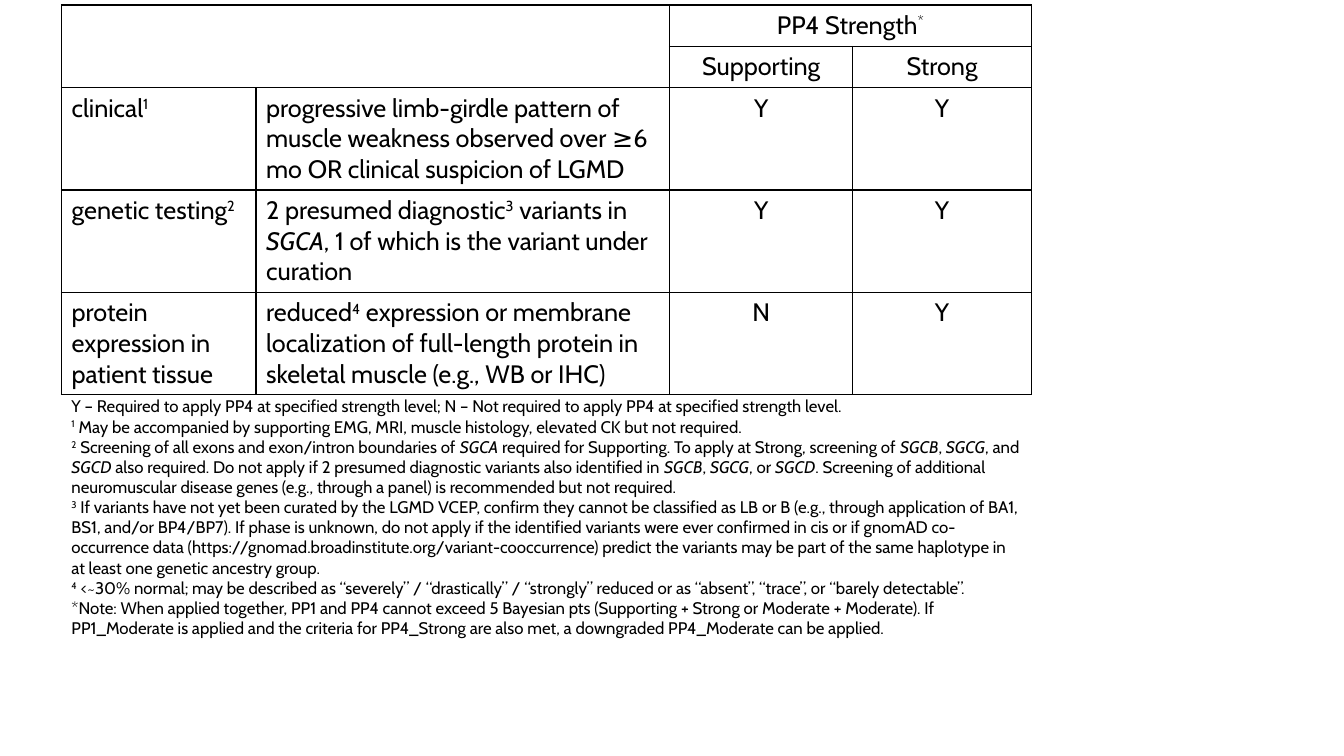
from pptx import Presentation
from pptx.dml.color import RGBColor
from pptx.enum.text import MSO_AUTO_SIZE as Auto, PP_ALIGN as Align
from pptx.oxml import parse_xml
from pptx.oxml.ns import nsdecls
from pptx.util import Inches, Pt

FONT, INK = "Cabin", "000000"
WIDE, HIGH = 13.33, 7.5
LEFT, TOP = 0.61, 0.05
COLS = [1.93, 4.1, 1.82, 1.77]
ROWS = [0.41, 0.41, 1.0, 1.0, 1.0]
NOTE_TOP, NOTE_HIGH = 3.88, 2.52

GRID = [
    ["", "", "PP4 Strength^*^", ""],
    ["", "", "Supporting", "Strong"],
    ["clinical^1^",
     "progressive limb-girdle pattern of muscle weakness observed over ≥6 mo OR clinical suspicion of LGMD",
     "Y", "Y"],
    ["genetic testing^2^",
     "2 presumed diagnostic^3^ variants in |SGCA|, 1 of which is the variant under curation",
     "Y", "Y"],
    ["protein expression in patient tissue",
     "reduced^4^ expression or membrane localization of full-length protein in skeletal muscle (e.g., WB or IHC)",
     "N", "Y"],
]
MERGES = [((0, 0), (1, 1)), ((0, 2), (0, 3))]

NOTES = [
    "Y – Required to apply PP4 at specified strength level; N – Not required to apply PP4 at specified strength level.",
    "^1^ May be accompanied by supporting EMG, MRI, muscle histology, elevated CK but not required.",
    "^2^ Screening of all exons and exon/intron boundaries of |SGCA| required for Supporting. "
    "To apply at Strong, screening of |SGCB|, |SGCG|, and |SGCD| also required. "
    "Do not apply if 2 presumed diagnostic variants also identified in |SGCB|, |SGCG|, or |SGCD|. "
    "Screening of additional neuromuscular disease genes (e.g., through a panel) is recommended but not required.",
    "^3^ If variants have not yet been curated by the LGMD VCEP, confirm they cannot be classified as LB or B "
    "(e.g., through application of BA1, BS1, and/or BP4/BP7). If phase is unknown, do not apply if the identified "
    "variants were ever confirmed in cis or if gnomAD co-occurrence data "
    "(https://gnomad.broadinstitute.org/variant-cooccurrence) predict the variants may be part of the same "
    "haplotype in at least one genetic ancestry group.",
    "^4^ <~30% normal; may be described as “severely” / “drastically” / “strongly” reduced "
    "or as “absent”, “trace”, or “barely detectable”.",
    "*Note: When applied together, PP1 and PP4 cannot exceed 5 Bayesian pts (Supporting + Strong or Moderate + "
    "Moderate). If PP1_Moderate is applied and the criteria for PP4_Strong are also met, a downgraded PP4_Moderate "
    "can be applied.",
]


def color(code):
    return RGBColor.from_string(code)


def write(frame, lines, size=18, align=Align.LEFT):
    frame.word_wrap = True
    for spot, line in enumerate(lines):
        para = frame.add_paragraph() if spot else frame.paragraphs[0]
        para.alignment = align
        for rise, part in enumerate(line.split("^")):
            for slant, text in enumerate(part.split("|")):
                if not text:
                    continue
                run = para.add_run()
                run.text = text
                font = run.font
                font.name, font.size = FONT, Pt(size)
                font.color.rgb = color(INK)
                if slant % 2:
                    font.italic = True
                if rise % 2:
                    run._r.get_or_add_rPr().set("baseline", "30000")


def frame_cell(cell):
    props = cell._tc.get_or_add_tcPr()
    for side in "LRTB":
        props.append(parse_xml(
            f'<a:ln{side} {nsdecls("a")} w="{Pt(1)}"><a:solidFill>'
            f'<a:srgbClr val="{INK}"/></a:solidFill></a:ln{side}>'))
    cell.fill.background()


def add_grid(slide):
    shape = slide.shapes.add_table(
        len(ROWS), len(COLS), Inches(LEFT), Inches(TOP),
        Inches(sum(COLS)), Inches(sum(ROWS)))
    table = shape.table
    table.first_row = table.horz_banding = False
    for col, width in zip(table.columns, COLS):
        col.width = Inches(width)
    for row, height in zip(table.rows, ROWS):
        row.height = Inches(height)
    for start, end in MERGES:
        table.cell(*start).merge(table.cell(*end))
    for r, row in enumerate(GRID):
        for c, text in enumerate(row):
            cell = table.cell(r, c)
            frame_cell(cell)
            if text:
                write(cell.text_frame, [text],
                      align=Align.CENTER if c > 1 else Align.LEFT)


def add_notes(slide):
    box = slide.shapes.add_textbox(
        Inches(LEFT), Inches(NOTE_TOP), Inches(sum(COLS)), Inches(NOTE_HIGH))
    write(box.text_frame, NOTES, size=12)
    box.text_frame.auto_size = Auto.SHAPE_TO_FIT_TEXT


def main():
    deck = Presentation()
    deck.slide_width, deck.slide_height = Inches(WIDE), Inches(HIGH)
    slide = deck.slides.add_slide(deck.slide_layouts[6])
    add_grid(slide)
    add_notes(slide)
    deck.save("out.pptx")


if __name__ == "__main__":
    main()
